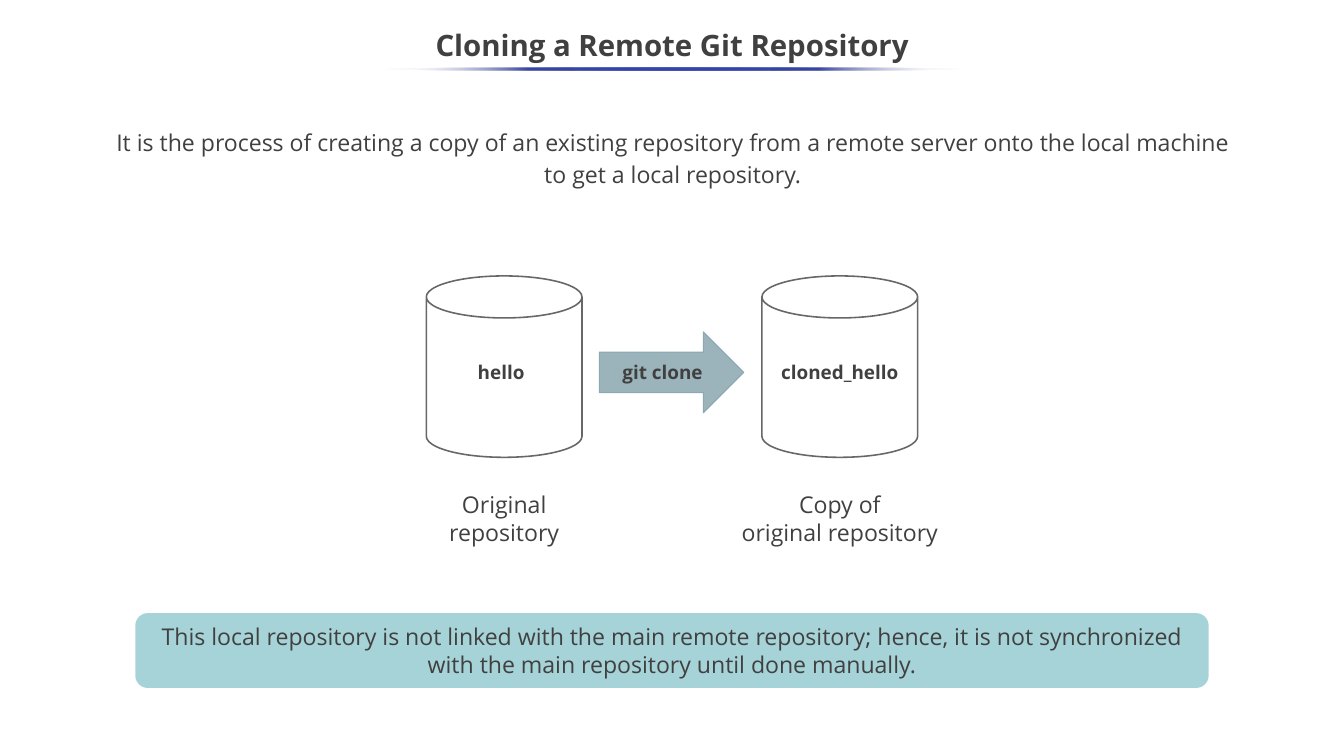
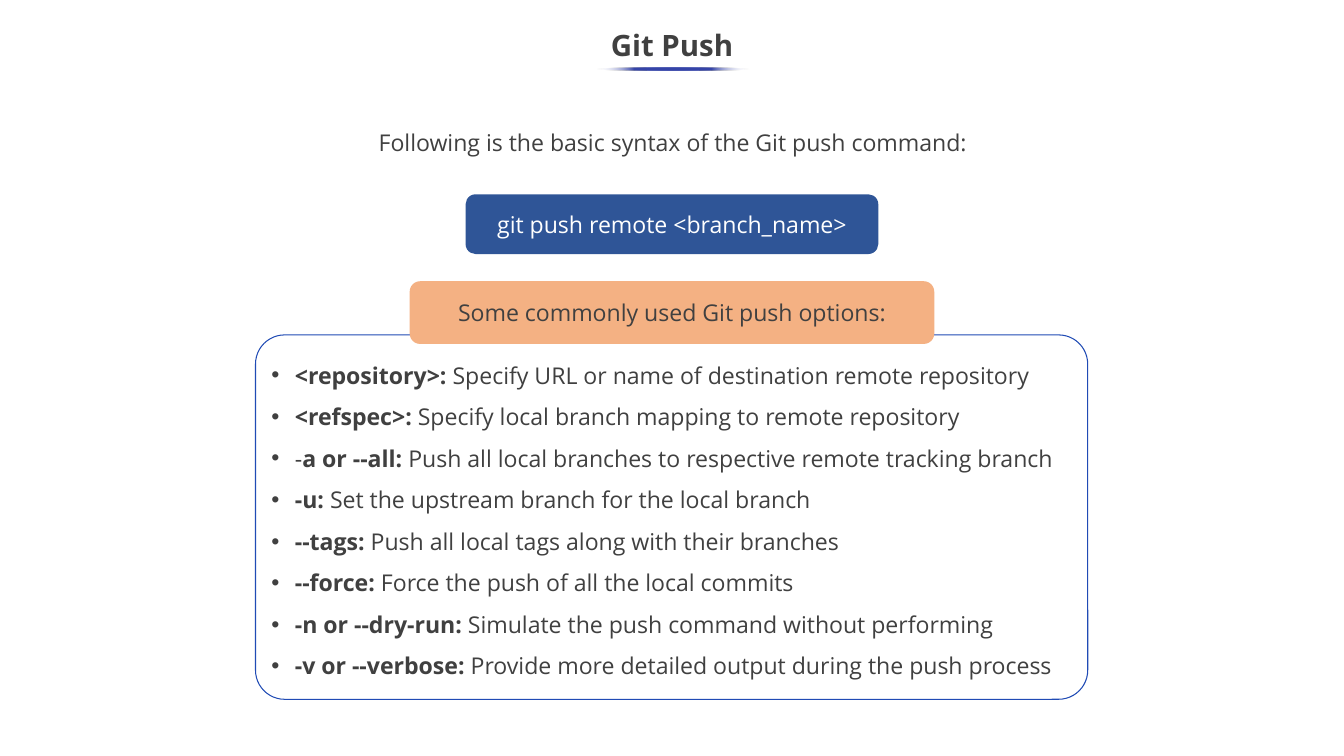
from lxml.etree import SubElement
from pptx import Presentation
from pptx.dml.color import RGBColor
from pptx.enum.shapes import MSO_SHAPE as Shape
from pptx.enum.text import MSO_ANCHOR as Anchor, MSO_AUTO_SIZE as AutoSize, PP_ALIGN as Align
from pptx.oxml.ns import qn
from pptx.util import Inches, Pt

FONT = "Open Sans"
DARK, WHITE = "404040", "FFFFFF"
ACCENT = "3645A9"
NAVY, ORANGE, AQUA = "2F5597", "F4B183", "A6D3D8"
OUTLINE, PANEL_LINE = "6A6666", "204BB5"
ARROW, ARROW_LINE = "9BB3BB", "8DA8B1"
PAGE_WIDTH, PAGE_HEIGHT = 17.78, 10
TITLE_SIZE, BODY_SIZE, LABEL_SIZE = 28, 22, 18
BULLET_INDENT = 0.31


def rgb(color):
    return RGBColor.from_string(color)


def place(item, left, top, width, height):
    item.left, item.top = Inches(left), Inches(top)
    item.width, item.height = Inches(width), Inches(height)


class SlideBuilder:
    """Holds the shared style and the slide being filled."""

    def __init__(self, deck):
        self.deck = deck
        self.page = None

    def start(self, title, underline_width, intro):
        """Add a slide with its title, underline and introduction."""
        self.page = self.deck.slides.add_slide(self.deck.slide_layouts[1])
        heading, body = self.page.placeholders
        place(heading, 0, 0.25, PAGE_WIDTH, 0.75)
        self.fill_text(heading, [[(title, True)]], TITLE_SIZE, spacing=0.9)
        place(body, 1.41, 1.65, 14.98, 0.99)
        self.fill_text(body, [[(intro, False)]], anchor=Anchor.TOP, spacing=1.15)
        body.text_frame.margin_top = body.text_frame.margin_bottom = 0
        self.underline(underline_width)

    def fill_text(self, box, paragraphs, size=BODY_SIZE, color=DARK, anchor=Anchor.MIDDLE,
                  spacing=None, bullets=False):
        """Fill a box with paragraphs, each a list of (text, bold) runs."""
        frame = box.text_frame
        frame.word_wrap = True
        frame.auto_size = AutoSize.NONE
        frame.vertical_anchor = anchor
        for index, runs in enumerate(paragraphs):
            para = frame.add_paragraph() if index else frame.paragraphs[0]
            self.set_bullet(para, bullets)
            para.alignment = Align.LEFT if bullets else Align.CENTER
            para.space_before = Pt(0)
            if spacing:
                para.line_spacing = spacing
            for text, bold in runs:
                self.add_run(para, text, bold, size, color)

    def set_bullet(self, para, shown):
        indent = Inches(BULLET_INDENT) if shown else 0
        props = para._p.get_or_add_pPr()
        props.set("marL", str(indent))
        props.set("indent", str(-indent))
        if shown:
            SubElement(props, qn("a:buFont")).set("typeface", "Arial")
            SubElement(props, qn("a:buChar")).set("char", "•")
        else:
            SubElement(props, qn("a:buNone"))

    def add_run(self, para, text, bold, size, color):
        for index, line in enumerate(text.split("\n")):
            if index:
                para.add_line_break()
            span = para.add_run()
            span.text = line
            span.font.name, span.font.size, span.font.bold = FONT, Pt(size), bold
            span.font.color.rgb = rgb(color)

    def shape(self, kind, at, fill=None, line=None, line_width=1, adjust=None):
        item = self.page.shapes.add_shape(kind, *map(Inches, at))
        item.shadow.inherit = False
        if fill:
            item.fill.solid()
            item.fill.fore_color.rgb = rgb(fill)
        else:
            item.fill.background()
        if line:
            item.line.color.rgb = rgb(line)
            item.line.width = Pt(line_width)
        else:
            item.line.fill.background()
        if adjust is not None:
            item.adjustments[0] = adjust
        return item

    def underline(self, width):
        """Draw the centred title rule that fades out at both ends."""
        rule = self.shape(Shape.OVAL, ((PAGE_WIDTH - width) / 2 + 0.01, 0.89, width, 0.04))
        rule.fill.gradient()
        rule.fill.gradient_angle = 0
        stops = rule._element.spPr.find(qn("a:gradFill")).find(qn("a:gsLst"))
        for stop in list(stops):
            stops.remove(stop)
        for percent in range(0, 101, 25):
            faded = percent in (0, 100)
            stop = SubElement(stops, qn("a:gs"), pos=str(percent * 1000))
            color = SubElement(stop, qn("a:srgbClr"), val=WHITE if faded else ACCENT)
            if faded:
                SubElement(color, qn("a:alpha"), val="0")

    def banner(self, at, text, fill, color=DARK):
        box = self.shape(Shape.ROUNDED_RECTANGLE, at, fill)
        self.fill_text(box, [[(text, False)]], color=color)

    def label(self, at, text, size=BODY_SIZE, bold=False):
        box = self.page.shapes.add_textbox(*map(Inches, at))
        self.fill_text(box, [[(text, bold)]], size, anchor=Anchor.TOP)


def add_clone_slide(builder):
    builder.start(
        "Cloning a Remote Git Repository", 7.63,
        "It is the process of creating a copy of an existing repository from a remote "
        "server onto the local machine to get a local repository.")
    repositories = [
        (6.67, 6.63, "hello", "Original\nrepository"),
        (11.11, 11.11, "cloned_hello", "Copy of\noriginal repository"),
    ]
    for center, name_center, name, caption in repositories:
        builder.shape(Shape.CAN, (center - 1.03, 3.65, 2.06, 2.4), line=OUTLINE,
                      line_width=1.5, adjust=0.27)
        builder.label((name_center - 1.27, 4.72, 2.54, 0.4), name, LABEL_SIZE, True)
        builder.label((center - 1.62, 6.44, 3.24, 0.84), caption)
    builder.shape(Shape.RIGHT_ARROW, (7.93, 4.39, 1.91, 1.07), ARROW, ARROW_LINE)
    builder.label((8.03, 4.72, 1.47, 0.4), "git clone", LABEL_SIZE, True)
    builder.banner(
        (1.79, 8.11, 14.2, 0.99),
        "This local repository is not linked with the main remote repository; hence, it is "
        "not synchronized with the main repository until done manually.", AQUA)


def add_push_slide(builder):
    builder.start("Git Push", 2.02, "Following is the basic syntax of the Git push command:")
    builder.banner((6.16, 2.57, 5.46, 0.79), "git push remote <branch_name>", NAVY, WHITE)
    options = [
        [("<repository>: ", True),
         ("Specify URL or name of destination remote repository", False)],
        [("<refspec>: ", True), ("Specify local branch mapping to remote repository", False)],
        [("-", False), ("a or --all: ", True),
         ("Push all local branches to respective remote tracking branch", False)],
        [("-u: ", True), ("Set the upstream branch for the local branch", False)],
        [("--tags: ", True), ("Push all local tags along with their branches", False)],
        [("--force: ", True), ("Force the push of all the local commits", False)],
        [("-n or --dry-run:", True), (" Simulate the push command without performing", False)],
        [("-v or --verbose:", True),
         (" Provide more detailed output during the push process", False)],
    ]
    panel = builder.shape(Shape.ROUNDED_RECTANGLE, (3.38, 4.43, 11.01, 4.82),
                          line=PANEL_LINE, adjust=0.08)
    builder.fill_text(panel, options, anchor=Anchor.TOP, spacing=1.5, bullets=True)
    builder.banner((5.42, 3.72, 6.94, 0.83), "Some commonly used Git push options:", ORANGE)


def main():
    deck = Presentation()
    deck.slide_width, deck.slide_height = Inches(PAGE_WIDTH), Inches(PAGE_HEIGHT)
    builder = SlideBuilder(deck)
    add_clone_slide(builder)
    add_push_slide(builder)
    deck.save("out.pptx")


if __name__ == "__main__":
    main()
